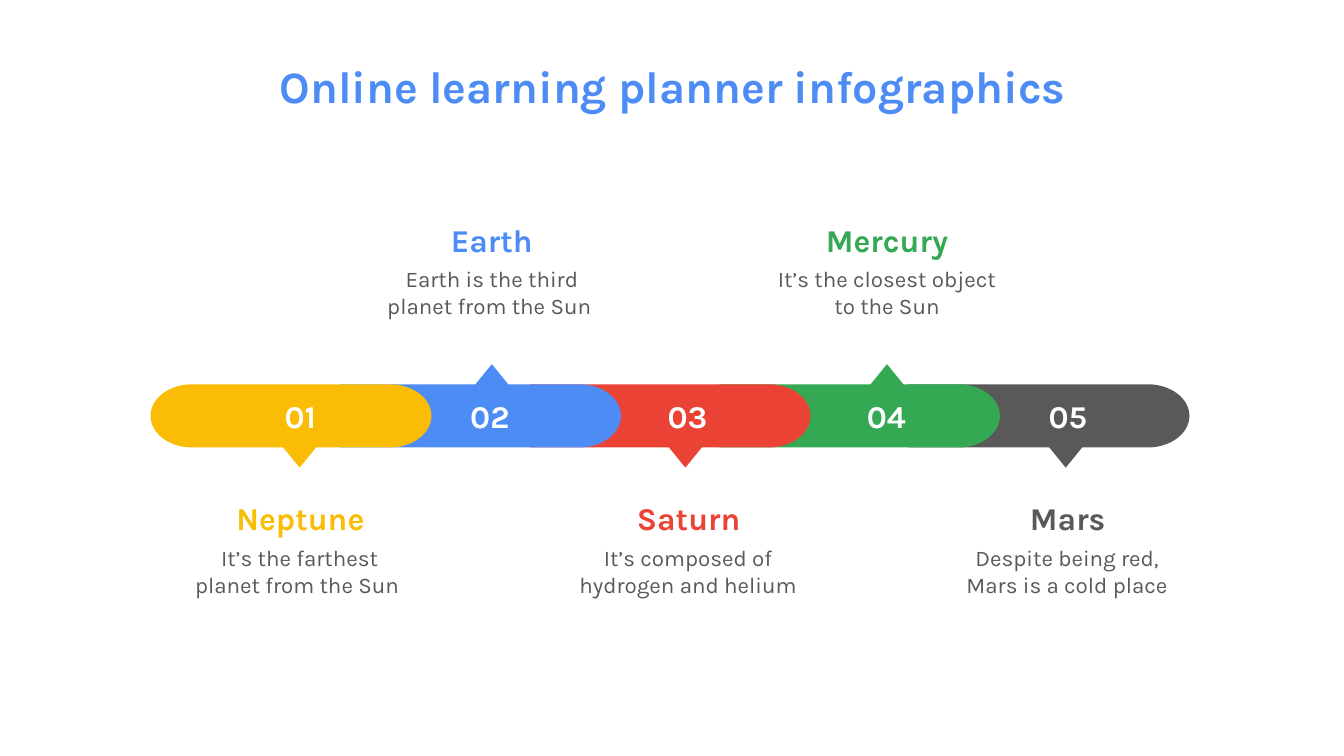
from dataclasses import dataclass
from math import cos, pi, sin

from pptx import Presentation
from pptx.dml.color import RGBColor
from pptx.enum.shapes import MSO_SHAPE as Shp
from pptx.enum.text import MSO_ANCHOR as Anc, PP_ALIGN as Al
from pptx.util import Emu, Pt

PX = 9144  # 100 px to the inch
FONT = "Karla"
BLUE, GREY, WHITE = "4D8CF5", "595959", "FFFFFF"

# Timeline grid
LEFT, TOP, STEP = 112, 286, 141
WIDE, HIGH, ROUND = 209, 47, 31


@dataclass
class Stage:
    name: str
    lines: list[str]
    fill: str
    up: bool
    tag: int  # left edge of the pointer
    num: int  # left edge of the number box
    col: int  # left edge of the text column


STAGES = [
    Stage("Neptune", ["It’s the farthest planet from the Sun "],
          "FBBC05", False, 210, 181, 129),
    Stage("Earth", ["Earth is the third planet from the Sun "],
          BLUE, True, 353, 322, 272),
    Stage("Saturn", ["It’s composed of hydrogen and helium"],
          "EA4335", False, 497, 469, 418),
    Stage("Mercury", ["It’s the closest object to the Sun"],
          "34A853", True, 647, 617, 566),
    Stage("Mars", ["Despite being red,", "Mars is a cold place"],
          GREY, False, 780, 752, 700),
]


def px(num: float) -> Emu:
    return Emu(round(num * PX))


def color(code: str) -> RGBColor:
    return RGBColor.from_string(code)


def paint(shape, code: str) -> None:
    shape.shadow.inherit = False
    shape.fill.solid()
    shape.fill.fore_color.rgb = color(code)
    shape.line.fill.background()


def write(slide, lines: list[str], x: int, y: int, w: int, h: int,
          size: int, code: str, bold: bool = True, anchor=Anc.MIDDLE) -> None:
    box = slide.shapes.add_textbox(px(x), px(y), px(w), px(h))
    frame = box.text_frame
    frame.word_wrap = True
    frame.vertical_anchor = anchor
    frame.margin_left = frame.margin_right = px(10)
    frame.margin_top = frame.margin_bottom = px(10)
    para = frame.paragraphs[0]
    para.alignment = Al.CENTER
    for i, line in enumerate(lines):
        if i:
            para.add_line_break()
        run = para.add_run()
        run.text = line
        font = run.font
        font.name, font.size, font.bold = FONT, Pt(size), bold
        font.color.rgb = color(code)


def arc(x: float, start: float) -> list[tuple[int, int]]:
    """Half an ellipse around x, clockwise from the start angle."""
    mid, rise, parts = TOP + HIGH / 2, HIGH / 2, 32
    turns = [start + pi * i / parts for i in range(parts + 1)]
    return [(px(x + ROUND * cos(t)), px(mid + rise * sin(t))) for t in turns]


def draw_bar(slide, i: int, code: str) -> None:
    x = LEFT + STEP * i
    dots = arc(x + WIDE - ROUND, -pi / 2)
    if i:
        dots += [(px(x), px(TOP + HIGH)), (px(x), px(TOP))]
    else:
        dots += arc(x + ROUND, pi / 2)
    path = slide.shapes.build_freeform(*dots[0], scale=1.0)
    path.add_line_segments(dots[1:], close=True)
    paint(path.convert_to_shape(), code)


def draw_tag(slide, part: Stage) -> None:
    kind = Shp.ISOSCELES_TRIANGLE if part.up else Shp.FLOWCHART_MERGE
    y = 271 if part.up else 332
    tag = slide.shapes.add_shape(kind, px(part.tag), px(y), px(26), px(16))
    paint(tag, part.fill)


def draw_text(slide, i: int, part: Stage) -> None:
    wide, head, body = (176, 155, 188) if part.up else (163, 362, 396)
    x = part.col + (189 - wide) // 2
    write(slide, [part.name], x, head, wide, 47, 17, part.fill)
    write(slide, part.lines, part.col, body, 188, 58, 12, GREY, False)
    write(slide, [f"{i + 1:02}"], part.num, 280, 85, 59, 17, WHITE)


def main() -> None:
    deck = Presentation()
    deck.slide_width = px(1000)
    deck.slide_height = deck.slide_width * 9 // 16
    slide = deck.slides.add_slide(deck.slide_layouts[6])

    # Title
    write(slide, ["Online learning planner infographics"],
          20, 34, 961, 63, 24, BLUE, anchor=Anc.TOP)

    # Pointers, then bars from last to first so each overlaps the next
    for part in STAGES:
        draw_tag(slide, part)
    for i, part in reversed(list(enumerate(STAGES))):
        draw_bar(slide, i, part.fill)

    # Numbers and captions
    for i, part in enumerate(STAGES):
        draw_text(slide, i, part)

    deck.save("out.pptx")


if __name__ == "__main__":
    main()
